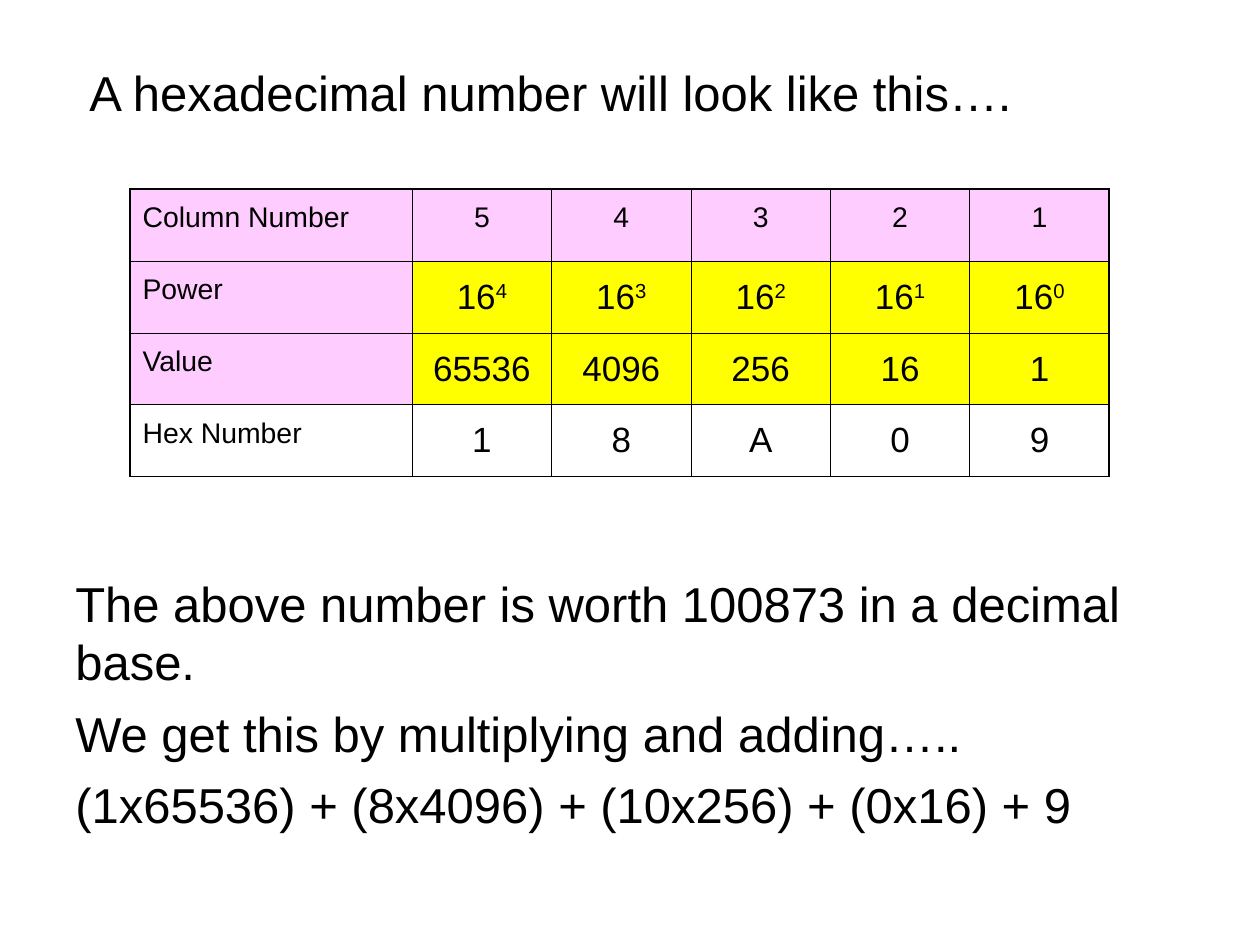
from lxml import etree
from pptx import Presentation
from pptx.dml.color import RGBColor
from pptx.enum.text import MSO_ANCHOR, PP_ALIGN
from pptx.oxml.ns import qn
from pptx.util import Cm, Pt

LEFT, CENTER = PP_ALIGN.LEFT, PP_ALIGN.CENTER
TOP, MIDDLE = MSO_ANCHOR.TOP, MSO_ANCHOR.MIDDLE
TITLE_ONLY = 5

BLACK, WHITE, PINK, YELLOW = "000000", "FFFFFF", "FFCCFF", "FFFF00"
OUTER_LINE, INNER_LINE = 1.08, 0.45

ROWS = [
    ["Column Number", "5", "4", "3", "2", "1"],
    ["Power", "16^4", "16^3", "16^2", "16^1", "16^0"],
    ["Value", "65536", "4096", "256", "16", "1"],
    ["Hex Number", "1", "8", "A", "0", "9"],
]
EXPLANATION = [
    "The above number is worth 100873 in a decimal base.",
    "We get this by multiplying and adding…..",
    "(1x65536) + (8x4096) + (10x256) + (0x16) + 9",
]


def color(value):
    return RGBColor.from_string(value)


def add_run(paragraph, text, raised=False):
    run = paragraph.add_run()
    run.text = text
    if raised:
        run._r.get_or_add_rPr().set("baseline", "30000")


def set_border(cell, side, points):
    line = etree.SubElement(cell._tc.get_or_add_tcPr(), qn("a:ln" + side), w=str(Pt(points)))
    fill = etree.SubElement(line, qn("a:solidFill"))
    etree.SubElement(fill, qn("a:srgbClr"), val=BLACK)


class SlideBuilder:
    font_name = "Arial"
    text_size = 28
    digit_size = 20

    def __init__(self, slide):
        self.slide = slide

    def format(self, paragraph, size, alignment=LEFT):
        paragraph.alignment = alignment
        paragraph.font.name = self.font_name
        paragraph.font.size = Pt(size)
        paragraph.font.color.rgb = color(BLACK)

    def title(self, text, left, top, width, height):
        shape = self.slide.shapes.title
        shape.left, shape.top, shape.width, shape.height = map(Cm, (left, top, width, height))
        frame = shape.text_frame
        frame.text = text
        frame.vertical_anchor = TOP
        paragraph = frame.paragraphs[0]
        paragraph.line_spacing = 0.9
        self.format(paragraph, self.text_size)

    def text(self, lines, left, top, width, height):
        frame = self.slide.shapes.add_textbox(*map(Cm, (left, top, width, height))).text_frame
        frame.word_wrap = True
        for index, line in enumerate(lines):
            paragraph = frame.add_paragraph() if index else frame.paragraphs[0]
            paragraph.text = line
            if index:
                paragraph.space_before = Pt(7)
            self.format(paragraph, self.text_size)

    def table(self, rows, left, top, label_width, digit_width, row_height):
        last = len(rows[0]) - 1
        shape = self.slide.shapes.add_table(
            len(rows), last + 1, Cm(left), Cm(top),
            Cm(label_width + last * digit_width), Cm(len(rows) * row_height))
        table = shape.table
        for index, column in enumerate(table.columns):
            column.width = Cm(digit_width if index else label_width)
        for row_index, texts in enumerate(rows):
            table.rows[row_index].height = Cm(row_height)
            for column_index, text in enumerate(texts):
                cell = table.cell(row_index, column_index)
                heading = row_index == 0 or column_index == 0
                outer = {"L": column_index == 0, "R": column_index == last,
                         "T": row_index == 0, "B": False}
                for side, is_outer in outer.items():
                    set_border(cell, side, OUTER_LINE if is_outer else INNER_LINE)
                cell.fill.solid()
                fill = WHITE if row_index == len(rows) - 1 else PINK if heading else YELLOW
                cell.fill.fore_color.rgb = color(fill)
                self.cell_text(cell, text, heading, CENTER if column_index else LEFT)

    def cell_text(self, cell, text, heading, alignment):
        """Headings are raised as a whole; elsewhere ^ starts an exponent."""
        cell.vertical_anchor = MIDDLE
        paragraph = cell.text_frame.paragraphs[0]
        base, _, exponent = text.partition("^")
        add_run(paragraph, base, raised=heading)
        if exponent:
            add_run(paragraph, exponent, raised=True)
        self.format(paragraph, self.text_size if heading else self.digit_size, alignment)


def main():
    presentation = Presentation()
    presentation.slide_width, presentation.slide_height = Cm(25.4), Cm(19.05)
    layout = presentation.slide_layouts[TITLE_ONLY]
    builder = SlideBuilder(presentation.slides.add_slide(layout))
    builder.title("A hexadecimal number will look like this….", 1.55, 1.27, 23, 2.6)
    builder.text(EXPLANATION, 1.27, 11.43, 22.43, 5.5)
    builder.table(ROWS, left=2.62, top=3.81, label_width=5.69, digit_width=2.81, row_height=1.45)
    presentation.save("out.pptx")


if __name__ == "__main__":
    main()
